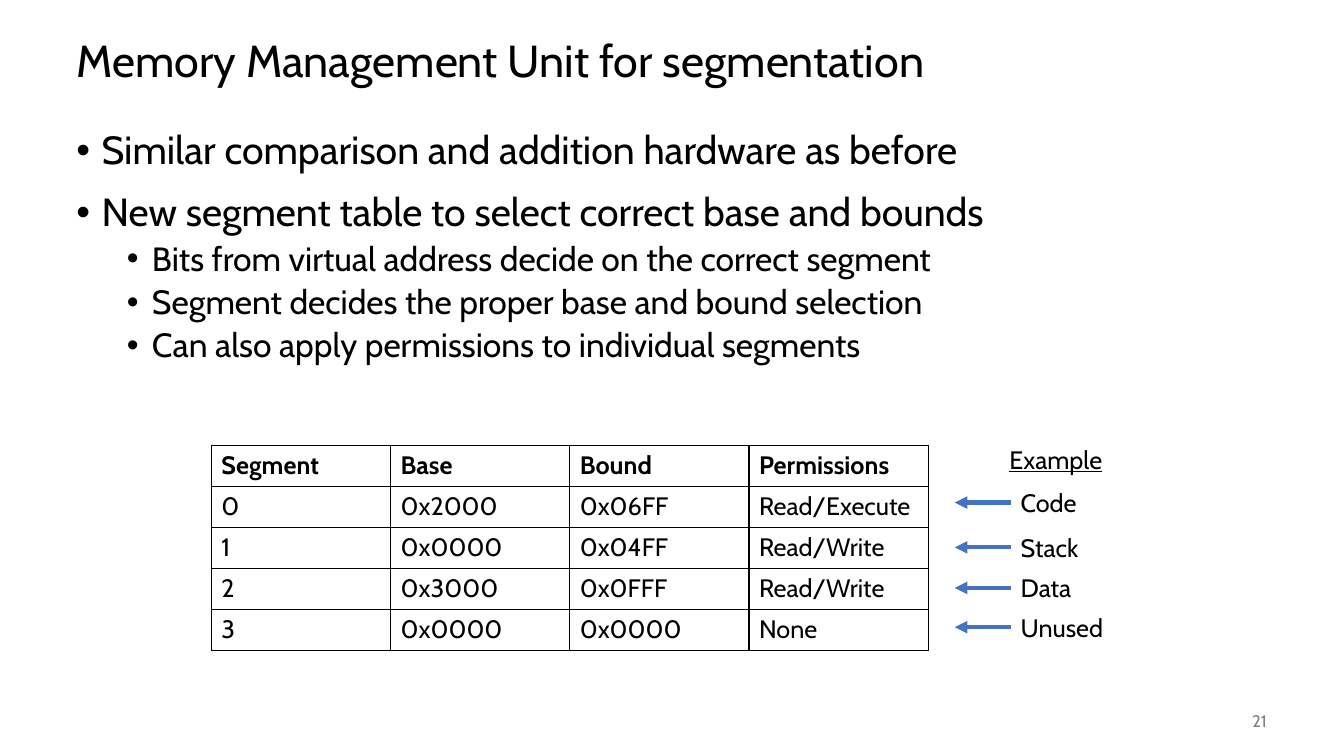
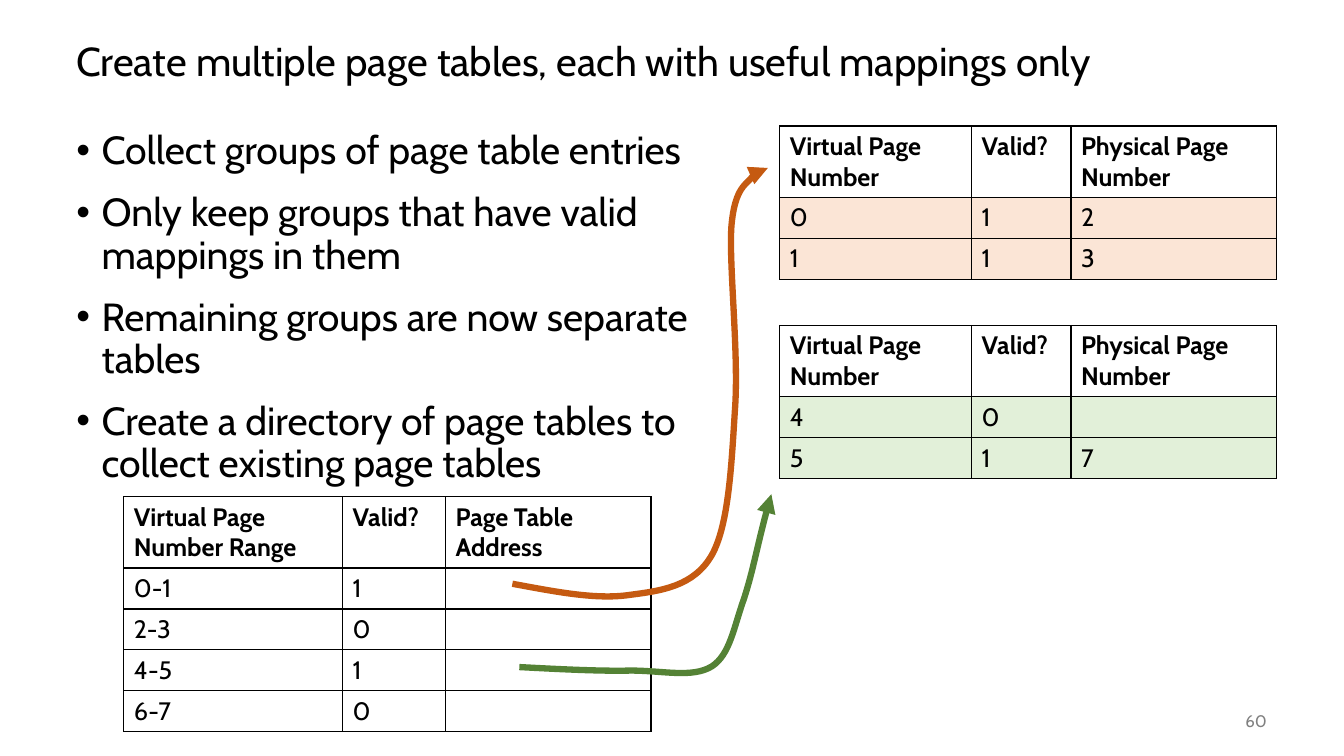
from dataclasses import dataclass
from typing import NamedTuple, Optional

from lxml.etree import SubElement
from pptx import Presentation
from pptx.dml.color import RGBColor
from pptx.enum.shapes import MSO_CONNECTOR as Connector
from pptx.enum.text import MSO_ANCHOR as Anchor, PP_ALIGN as Align
from pptx.oxml.ns import qn
from pptx.util import Pt

BLACK = RGBColor(0x00, 0x00, 0x00)
GRAY = RGBColor(0x80, 0x80, 0x80)
WHITE = RGBColor(0xFF, 0xFF, 0xFF)
BLUE = RGBColor(0x44, 0x72, 0xC4)
ORANGE = RGBColor(0xC5, 0x5A, 0x11)
GREEN = RGBColor(0x54, 0x82, 0x35)
PALE_ORANGE = RGBColor(0xFB, 0xE5, 0xD6)
PALE_GREEN = RGBColor(0xE2, 0xF0, 0xD9)

FONT = "Cabin"
LINE_SPACING = 0.9
ROW_HEIGHT = 29.25
TALL_HEADER = 51
LABEL_HEIGHT = 29
ARROW_LENGTH = 40


class Box(NamedTuple):
    left: float
    top: float
    width: float
    height: float


class BulletLevel(NamedTuple):
    size: float
    margin: float
    space_before: float


class Bullet(NamedTuple):
    text: str
    level: int = 0


class Label(NamedTuple):
    text: str
    top: float


@dataclass
class Grid:
    left: float
    top: float
    columns: list[float]
    header: list[str]
    rows: list[list[str]]
    header_height: float = ROW_HEIGHT
    row_fill: Optional[RGBColor] = None


@dataclass
class CurvedArrow:
    """Start point, then three Bézier points for each curve section."""
    color: RGBColor
    points: list[tuple[float, float]]


BULLET_LEVELS = [BulletLevel(28, 18, 14), BulletLevel(24, 54, 5)]
TITLE_BOX = Box(47.5, 18, 864, 54)
BODY_BOX = Box(47.5, 90, 864, 396)
NARROW_BODY_BOX = BODY_BOX._replace(width=499)
PAGE_NUMBER_BOX = Box(840, 500.5, 72, 28.5)

MMU_BULLETS = [
    Bullet("Similar comparison and addition hardware as before"),
    Bullet("New segment table to select correct base and bounds"),
    Bullet("Bits from virtual address decide on the correct segment", 1),
    Bullet("Segment decides the proper base and bound selection", 1),
    Bullet("Can also apply permissions to individual segments", 1),
]
SEGMENT_TABLE = Grid(
    151, 318.25, [128] * 4,
    ["Segment", "Base", "Bound", "Permissions"],
    [["0", "0x2000", "0x06FF", "Read/Execute"],
     ["1", "0x0000", "0x04FF", "Read/Write"],
     ["2", "0x3000", "0x0FFF", "Read/Write"],
     ["3", "0x0000", "0x0000", "None"]])
EXAMPLE_HEADING = Box(714, 313.5, 138, LABEL_HEIGHT)
EXAMPLE_LEFT = 722
EXAMPLE_LABELS = [Label("Code", 344.5), Label("Stack", 376.5),
                  Label("Data", 405.5), Label("Unused", 433.5)]

PAGING_BULLETS = [
    Bullet("Collect groups of page table entries"),
    Bullet("Only keep groups that have valid mappings in them"),
    Bullet("Remaining groups are now separate tables"),
    Bullet("Create a directory of page tables to collect existing page tables"),
]
PAGE_COLUMNS = [137, 71, 147]
PAGE_HEADER = ["Virtual Page Number", "Valid?", "Physical Page Number"]
PAGING_TABLES = [
    Grid(88.5, 354.75, [156.25, 73.5, 146.75],
         ["Virtual Page Number Range", "Valid?", "Page Table Address"],
         [["0-1", "1", ""], ["2-3", "0", ""], ["4-5", "1", ""], ["6-7", "0", ""]],
         TALL_HEADER, WHITE),
    Grid(557, 90, PAGE_COLUMNS, PAGE_HEADER,
         [["0", "1", "2"], ["1", "1", "3"]], TALL_HEADER, PALE_ORANGE),
    Grid(557, 232.5, PAGE_COLUMNS, PAGE_HEADER,
         [["4", "0", ""], ["5", "1", "7"]], TALL_HEADER, PALE_GREEN),
]
DIRECTORY_ARROWS = [
    CurvedArrow(ORANGE, [
        (366, 417),
        (396, 422.5), (425.5, 428.5), (449.5, 425),
        (472.5, 422), (495.5, 419), (508.5, 396.5),
        (520.5, 375), (522.5, 332.5), (525, 293),
        (528, 253.5), (520.5, 188.5), (522.5, 161.5),
        (525, 133), (533.5, 132), (538, 125.5),
        (542, 118), (536.5, 119), (548.5, 120)]),
    CurvedArrow(GREEN, [
        (371, 476.5),
        (399.5, 478), (428.5, 479.5), (450.5, 479),
        (474, 479), (494.5, 484.5), (508.5, 476),
        (521.5, 467.5), (524, 448.5), (531.5, 427.5),
        (538, 407.5), (541.5, 386), (551, 353)]),
]


def write(paragraph, text: str, size: float, color: RGBColor = BLACK, **formats) -> None:
    run = paragraph.add_run()
    run.text = text
    for name, value in {"name": FONT, "size": Pt(size), **formats}.items():
        setattr(run.font, name, value)
    run.font.color.rgb = color


def add_text_box(slide, box: Box, anchor=Anchor.TOP):
    text_box = slide.shapes.add_textbox(*map(Pt, box))
    text_box.text_frame.word_wrap = True
    text_box.text_frame.vertical_anchor = anchor
    return text_box


def add_label(slide, box: Box, text: str, **formats):
    label = add_text_box(slide, box)
    write(label.text_frame.paragraphs[0], text, 18, **formats)
    return label


def add_titled_slide(deck, title: str, page: int, title_size: float = 32):
    slide = deck.slides.add_slide(deck.slide_layouts[6])
    heading = add_text_box(slide, TITLE_BOX, Anchor.MIDDLE).text_frame.paragraphs[0]
    heading.line_spacing = LINE_SPACING
    write(heading, title, title_size)
    number = add_text_box(slide, PAGE_NUMBER_BOX, Anchor.MIDDLE).text_frame.paragraphs[0]
    number.alignment = Align.RIGHT
    write(number, str(page), 12, GRAY)
    return slide


def add_bullets(slide, box: Box, bullets: list[Bullet]) -> None:
    frame = add_text_box(slide, box).text_frame
    for index, bullet in enumerate(bullets):
        level = BULLET_LEVELS[bullet.level]
        paragraph = frame.add_paragraph() if index else frame.paragraphs[0]
        properties = paragraph._p.get_or_add_pPr()
        properties.set("marL", str(Pt(level.margin)))
        properties.set("indent", str(Pt(-18)))
        SubElement(properties, qn("a:buFont"), typeface="Arial")
        SubElement(properties, qn("a:buChar"), char="•")
        paragraph.level = bullet.level
        paragraph.line_spacing = LINE_SPACING
        if index:
            paragraph.space_before = Pt(level.space_before)
        write(paragraph, bullet.text, level.size)


def add_borders(cell) -> None:
    properties = cell._tc.get_or_add_tcPr()
    for side in ("lnL", "lnR", "lnT", "lnB"):
        border = SubElement(properties, qn(f"a:{side}"), w=str(Pt(1)))
        fill = SubElement(border, qn("a:solidFill"))
        SubElement(fill, qn("a:srgbClr"), val=str(BLACK))


def add_grid(slide, grid: Grid) -> None:
    lines = [grid.header, *grid.rows]
    heights = [grid.header_height] + [ROW_HEIGHT] * len(grid.rows)
    box = Box(grid.left, grid.top, sum(grid.columns), sum(heights))
    table = slide.shapes.add_table(len(lines), len(grid.columns), *map(Pt, box)).table
    table.first_row = table.horz_banding = False
    for column, width in zip(table.columns, grid.columns):
        column.width = Pt(width)
    for row_index, (row, height, texts) in enumerate(zip(table.rows, heights, lines)):
        row.height = Pt(height)
        for cell, text in zip(row.cells, texts):
            add_borders(cell)
            if row_index and grid.row_fill is not None:
                cell.fill.solid()
                cell.fill.fore_color.rgb = grid.row_fill
            else:
                cell.fill.background()
            if text:
                write(cell.text_frame.paragraphs[0], text, 18, bold=row_index == 0)


def style_arrow(arrow, color: RGBColor, width: float) -> None:
    """Colour the line, point its end and switch its shadow off."""
    arrow.line.color.rgb = color
    arrow.line.width = Pt(width)
    SubElement(arrow.line._get_or_add_ln(), qn("a:tailEnd"), type="triangle")
    SubElement(arrow._element.spPr, qn("a:effectLst"))


def add_example(slide, example: Label) -> None:
    """Draw a label with an arrow from its left side to the table row."""
    box = Box(EXAMPLE_LEFT, example.top, 138, LABEL_HEIGHT)
    label = add_label(slide, box, example.text)
    middle = Pt(example.top + LABEL_HEIGHT / 2)
    arrow = slide.shapes.add_connector(
        Connector.STRAIGHT, Pt(EXAMPLE_LEFT), middle,
        Pt(EXAMPLE_LEFT - ARROW_LENGTH), middle)
    arrow.begin_connect(label, 1)
    style_arrow(arrow, BLUE, 3)


def add_curved_arrow(slide, curve: CurvedArrow) -> None:
    start, *rest = [(Pt(x), Pt(y)) for x, y in curve.points]
    builder = slide.shapes.build_freeform(*start)
    builder.add_line_segments(rest, close=False)
    arrow = builder.convert_to_shape()
    outline = next(arrow._element.iter(qn("a:path")))
    segments = outline.findall(qn("a:lnTo"))
    for first in range(0, len(segments), 3):
        bezier = SubElement(outline, qn("a:cubicBezTo"))
        for segment in segments[first:first + 3]:
            bezier.append(segment[0])
            outline.remove(segment)
    arrow.fill.background()
    style_arrow(arrow, curve.color, 4.5)


def build_segmentation_slide(deck) -> None:
    slide = add_titled_slide(deck, "Memory Management Unit for segmentation", 21)
    add_bullets(slide, BODY_BOX, MMU_BULLETS)
    add_grid(slide, SEGMENT_TABLE)
    add_label(slide, EXAMPLE_HEADING, "Example", underline=True)
    for example in EXAMPLE_LABELS:
        add_example(slide, example)


def build_page_tables_slide(deck) -> None:
    slide = add_titled_slide(
        deck, "Create multiple page tables, each with useful mappings only", 60, 28.8)
    add_bullets(slide, NARROW_BODY_BOX, PAGING_BULLETS)
    for grid in PAGING_TABLES:
        add_grid(slide, grid)
    for curve in DIRECTORY_ARROWS:
        add_curved_arrow(slide, curve)


def main() -> None:
    deck = Presentation()
    deck.slide_width, deck.slide_height = Pt(960), Pt(540)
    build_segmentation_slide(deck)
    build_page_tables_slide(deck)
    deck.save("out.pptx")


if __name__ == "__main__":
    main()
